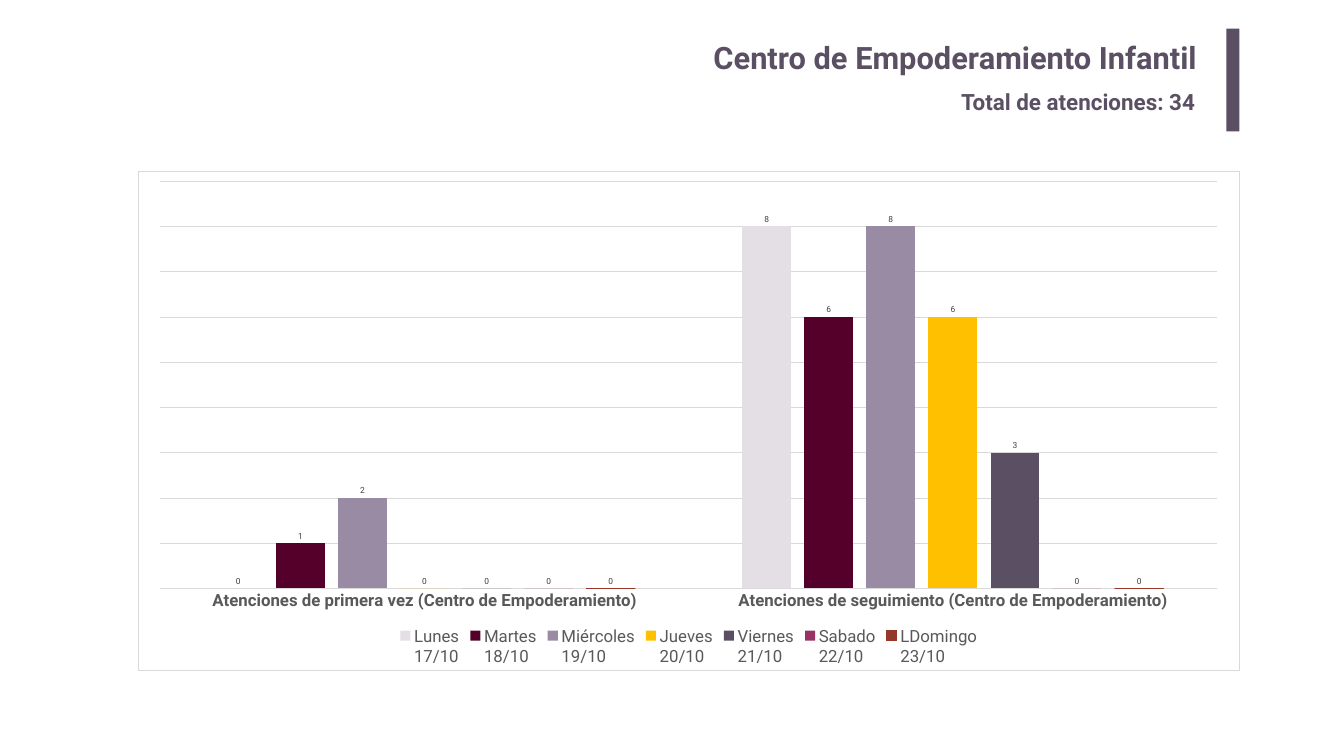
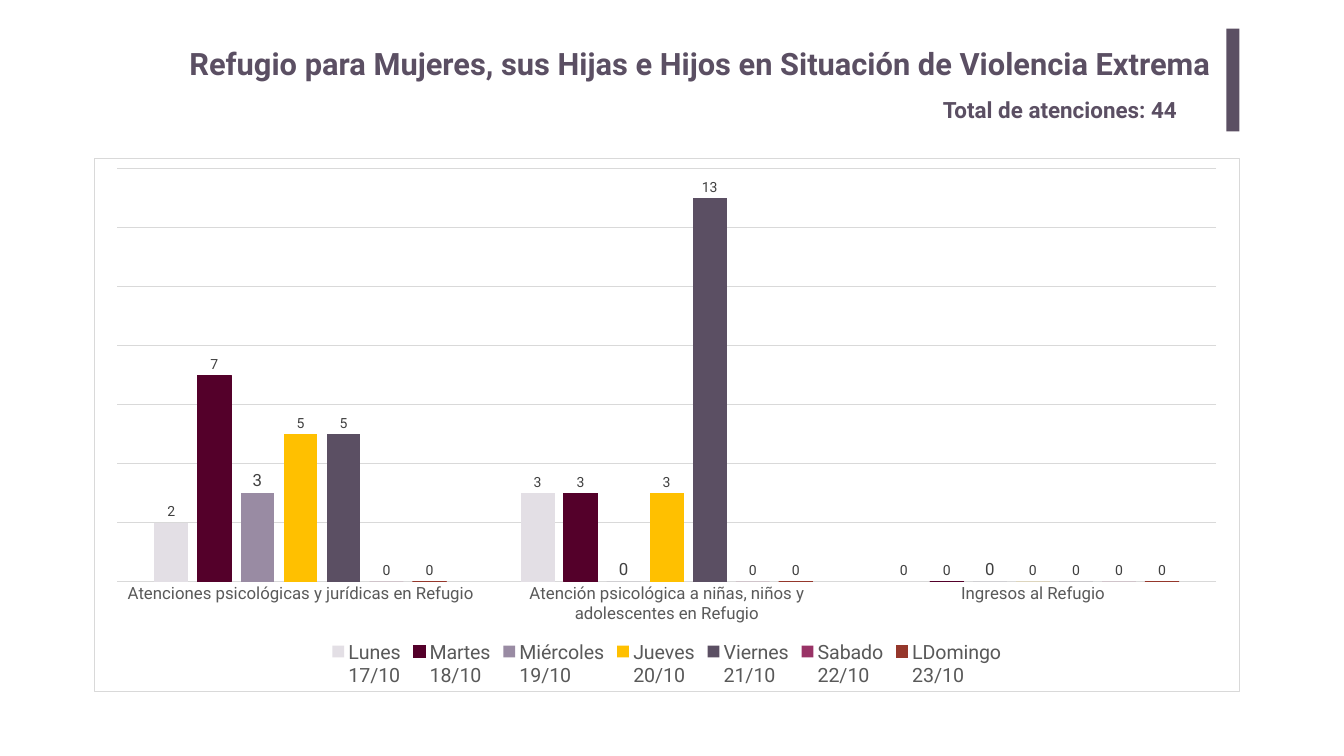
"""Builds two slides that chart the weekly care services of two centres."""
from dataclasses import dataclass

from lxml import etree
from pptx import Presentation
from pptx.chart.data import CategoryChartData
from pptx.dml.color import RGBColor
from pptx.enum.chart import XL_CHART_TYPE, XL_LABEL_POSITION, XL_LEGEND_POSITION, XL_TICK_MARK
from pptx.enum.shapes import MSO_SHAPE
from pptx.enum.text import MSO_ANCHOR, PP_ALIGN
from pptx.oxml import parse_xml
from pptx.oxml.ns import nsdecls, qn
from pptx.util import Pt

COLUMNS = XL_CHART_TYPE.COLUMN_CLUSTERED
OUTSIDE_END = XL_LABEL_POSITION.OUTSIDE_END
LEGEND_BOTTOM = XL_LEGEND_POSITION.BOTTOM
NO_TICK = XL_TICK_MARK.NONE
RECTANGLE = MSO_SHAPE.RECTANGLE
TOP = MSO_ANCHOR.TOP
LEFT, RIGHT = PP_ALIGN.LEFT, PP_ALIGN.RIGHT


@dataclass(frozen=True)
class Theme:
    """Colours, font and type sizes of the slides."""
    font: str = "Roboto"
    accent: str = "5B4F63"
    grid: str = "D9D9D9"
    muted: str = "595959"
    value: str = "404040"
    paper: str = "FFFFFF"
    ink: str = "000000"
    title: int = 44
    subtitle: int = 32
    axis: int = 24
    base: int = 10
    hairline: float = 0.75


THEME = Theme()
SLIDE_SIZE = (1920, 1080)
ACCENT_BAR = (1751.8, 41, 18.7, 146.9)
DAYS = [
    ("Lunes\n17/10", "E3DFE5"),
    ("Martes\n18/10", "54002A"),
    ("Miércoles\n19/10", "998BA3"),
    ("Jueves\n20/10", "FFC000"),
    ("Viernes\n21/10", "5B4F63"),
    ("Sabado\n22/10", "993366"),
    ("LDomingo\n23/10", "95372B"),
]
CENTRES = [
    {
        "title": "Centro de Empoderamiento Infantil",
        "title_box": (263.5, 48.2, 1461.6, 73.4),
        "title_align": RIGHT,
        "title_inset": (14.4, 7.2),
        "total": "Total de atenciones: 34",
        "total_box": (1365.8, 121.7, 363.6, 46.1),
        "chart_box": (197.3, 244.1, 1573.2, 714.2),
        "services": {
            "Atenciones de primera vez (Centro de Empoderamiento)": (0, 1, 2, 0, 0, 0, 0),
            "Atenciones de seguimiento (Centro de Empoderamiento)": (8, 6, 8, 6, 3, 0, 0),
        },
        "scale": (9, 1),
        "axis_bold": True,
        "legend_size": 24,
        "label_sizes": [12] * 7,
        "outlined_days": {6},
    },
    {
        "title": "Refugio para Mujeres, sus Hijas e Hijos en Situación de Violencia Extrema",
        "title_box": (263.5, 60.5, 1492.6, 60.5),
        "title_align": LEFT,
        "title_inset": (7.2, 3.6),
        "total": "Total de atenciones: 44",
        "total_box": (1339.9, 133.2, 385.2, 46.1),
        "chart_box": (134.6, 225.4, 1635.8, 761.8),
        "services": {
            "Atenciones psicológicas y jurídicas en Refugio": (2, 7, 3, 5, 5, 0, 0),
            "Atención psicológica a niñas, niños y adolescentes en Refugio": (3, 3, 0, 3, 13, 0, 0),
            "Ingresos al Refugio": (0,) * 7,
        },
        "scale": (14, 2),
        "axis_bold": False,
        "legend_size": 28,
        "label_sizes": [20, 20, 24, 20, 20, 20, 20],
        "outlined_days": {1, 6},
    },
]


def points(box):
    """Turn a tuple of numbers into point lengths."""
    return [Pt(length) for length in box]


def set_attributes(target, values):
    """Set each named attribute of the target."""
    for name, value in values.items():
        setattr(target, name, value)


def style_font(font, size, color, bold=False):
    """Apply the theme font with a size, colour and weight."""
    set_attributes(font, {"name": THEME.font, "size": Pt(size), "bold": bold})
    font.color.rgb = RGBColor.from_string(color)


def style_line(line, color):
    """Draw a hairline in a colour."""
    line.color.rgb = RGBColor.from_string(color)
    line.width = Pt(THEME.hairline)


def paint(fill, color):
    """Fill with one solid colour."""
    fill.solid()
    fill.fore_color.rgb = RGBColor.from_string(color)


def add_heading(slide, wording, box, size, align=LEFT, inset=(7.2, 3.6)):
    """Add one bold heading in the accent colour."""
    frame = slide.shapes.add_textbox(*points(box)).text_frame
    across, down = points(inset)
    set_attributes(frame, {
        "word_wrap": True, "vertical_anchor": TOP,
        "margin_left": across, "margin_right": across,
        "margin_top": down, "margin_bottom": down,
    })
    paragraph = frame.paragraphs[0]
    paragraph.alignment = align
    run = paragraph.add_run()
    run.text = wording
    style_font(run.font, size, THEME.accent, True)


def add_accent_bar(slide):
    """Add the upright bar beside the headings."""
    bar = slide.shapes.add_shape(RECTANGLE, *points(ACCENT_BAR))
    bar.shadow.inherit = False
    paint(bar.fill, THEME.accent)
    bar.line.fill.background()


def frame_chart(chart):
    """Give the chart area its paper fill and thin border."""
    area = parse_xml(f"<c:spPr {nsdecls('c', 'a')}/>")
    fill = etree.SubElement(area, qn("a:solidFill"))
    etree.SubElement(fill, qn("a:srgbClr"), val=THEME.paper)
    border = etree.SubElement(area, qn("a:ln"), w=str(Pt(THEME.hairline)))
    border_fill = etree.SubElement(border, qn("a:solidFill"))
    etree.SubElement(border_fill, qn("a:srgbClr"), val=THEME.grid)
    chart.element.find(qn("c:chart")).addnext(area)


def style_axes(chart, scale, bold):
    """Show service names and gridlines, and hide the value scale."""
    services = chart.category_axis
    set_attributes(services, {"major_tick_mark": NO_TICK, "minor_tick_mark": NO_TICK})
    style_font(services.tick_labels.font, THEME.axis, THEME.muted, bold)
    style_line(services.format.line, THEME.grid)
    top, step = scale
    set_attributes(chart.value_axis, {
        "visible": False, "has_major_gridlines": True,
        "minimum_scale": 0, "maximum_scale": top, "major_unit": step,
    })
    style_line(chart.value_axis.major_gridlines.format.line, THEME.grid)


def style_day(day, color, label_size, outlined):
    """Colour the columns of one day and label their values."""
    paint(day.format.fill, color)
    if outlined:
        style_line(day.format.line, color)
    else:
        day.format.line.fill.background()
    day.invert_if_negative = False
    labels = day.data_labels
    set_attributes(labels, {"show_value": True, "position": OUTSIDE_END})
    style_font(labels.font, label_size, THEME.value)


def add_services_chart(slide, centre):
    """Add the column chart of services by day."""
    services = centre["services"]
    data = CategoryChartData()
    data.categories = list(services)
    for (name, _), counts in zip(DAYS, zip(*services.values())):
        data.add_series(name, counts)
    chart = slide.shapes.add_chart(COLUMNS, *points(centre["chart_box"]), data).chart
    set_attributes(chart, {"has_title": False, "has_legend": True})
    style_font(chart.font, THEME.base, THEME.ink)
    frame_chart(chart)
    set_attributes(chart.legend, {"position": LEGEND_BOTTOM, "include_in_layout": False})
    style_font(chart.legend.font, centre["legend_size"], THEME.muted)
    style_axes(chart, centre["scale"], centre["axis_bold"])
    plot = chart.plots[0]
    set_attributes(plot, {"gap_width": 219, "overlap": -27, "vary_by_categories": False})
    for index, (day, (_, color)) in enumerate(zip(plot.series, DAYS)):
        style_day(day, color, centre["label_sizes"][index], index in centre["outlined_days"])


def add_centre_slide(deck, centre):
    """Add the slide of one centre."""
    slide = deck.slides.add_slide(deck.slide_layouts[6])
    paint(slide.background.fill, THEME.paper)
    add_heading(slide, centre["title"], centre["title_box"], THEME.title,
                centre["title_align"], centre["title_inset"])
    add_accent_bar(slide)
    add_heading(slide, centre["total"], centre["total_box"], THEME.subtitle)
    add_services_chart(slide, centre)


def main():
    """Build and save the deck."""
    deck = Presentation()
    deck.slide_width, deck.slide_height = points(SLIDE_SIZE)
    for centre in CENTRES:
        add_centre_slide(deck, centre)
    deck.save("out.pptx")


if __name__ == "__main__":
    main()
